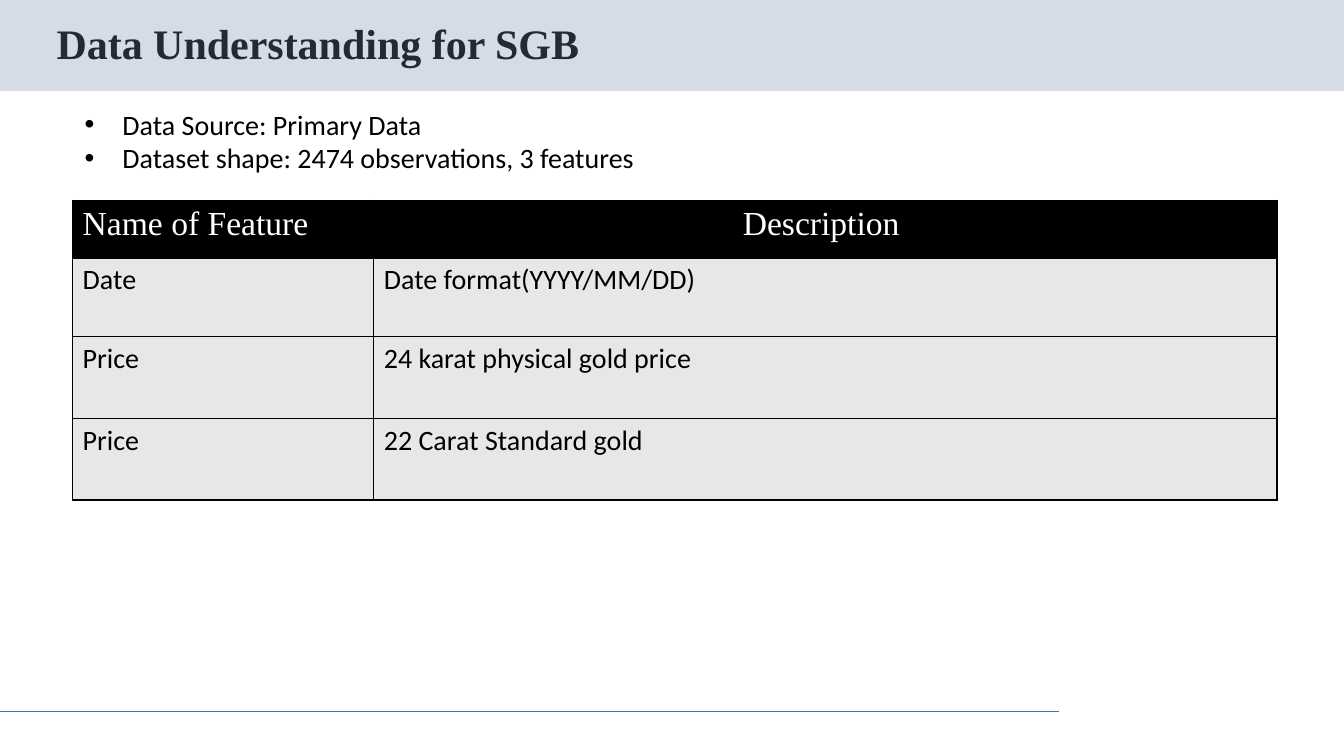
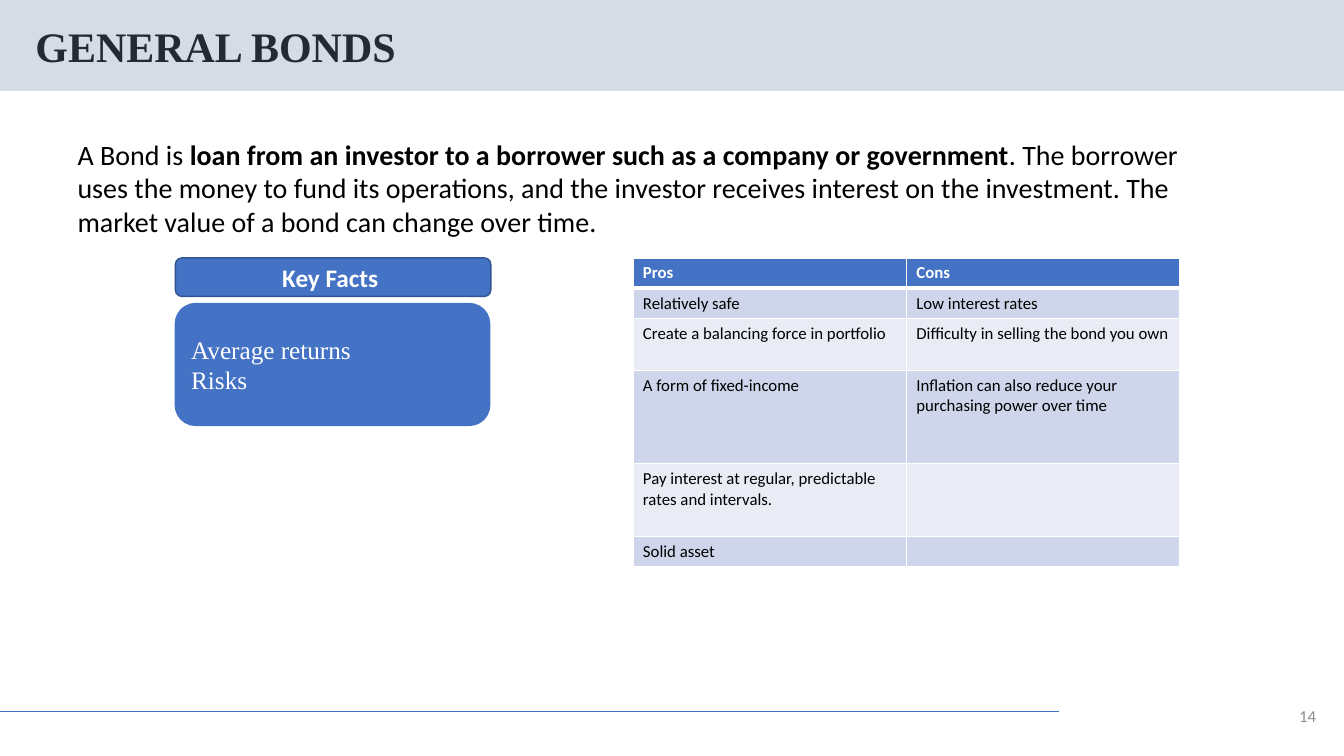
from lxml.etree import SubElement
from pptx import Presentation
from pptx.dml.color import RGBColor
from pptx.enum.shapes import MSO_CONNECTOR as Link, MSO_SHAPE as Kind
from pptx.enum.text import MSO_ANCHOR as Anchor, MSO_AUTO_SIZE as Fit, PP_ALIGN as Align
from pptx.oxml.ns import qn
from pptx.util import Cm, Pt

WHITE = RGBColor(0xFF, 0xFF, 0xFF)
BLACK = RGBColor(0, 0, 0)
BLUE = RGBColor(0x44, 0x72, 0xC4)
NAVY = RGBColor(0x32, 0x54, 0x91)
INK = RGBColor(0x22, 0x2A, 0x35)
MIST = RGBColor(0xD6, 0xDC, 0xE5)
GRAY = RGBColor(0x8C, 0x8C, 0x8C)
SILVER = RGBColor(0xE7, 0xE7, 0xE7)
DEEP = RGBColor(0xCF, 0xD5, 0xEA)
PALE = RGBColor(0xE9, 0xEB, 0xF5)
SANS, SERIF = "Calibri", "Times New Roman"


class Deck:
    """Holds the shared style and the slide being built."""

    def __init__(self):
        self.prs = Presentation()
        self.prs.slide_width, self.prs.slide_height = Cm(33.87), Cm(19.05)
        self.base = self.prs.slide_layouts[1]
        self.slide = None

    def label(self, frame, lines, size, color=BLACK, font=SANS, bold=False,
              align=Align.LEFT, anchor=Anchor.TOP):
        frame.text = "\n".join(lines)
        frame.word_wrap = True
        frame.vertical_anchor = anchor
        for para in frame.paragraphs:
            para.alignment = align
            para.space_before = Pt(0)
            for run in para.runs:
                self.style(run, size, color, font, bold)

    def style(self, run, size, color=BLACK, font=SANS, bold=False):
        run.font.size, run.font.name, run.font.bold = Pt(size), font, bold
        run.font.color.rgb = color

    def place(self, shape, box):
        shape.left, shape.top, shape.width, shape.height = map(Cm, box)

    def page(self, title, box):
        self.slide = self.prs.slides.add_slide(self.base)
        if len(self.prs.slides) == 1:
            self.frame()
        head = self.slide.shapes.title
        self.place(head, box)
        frame = head.text_frame
        self.label(frame, [title], 30, INK, SERIF, True, anchor=Anchor.MIDDLE)
        frame.auto_size = Fit.NONE
        frame.paragraphs[0].line_spacing = 0.9

    def frame(self):
        band = self.shape(Kind.RECTANGLE, (0, 0, 33.87, 2.29), MIST)
        rule = self.slide.shapes.add_connector(
            Link.STRAIGHT, Cm(0), Cm(17.93), Cm(26.7), Cm(17.93))
        rule.line.color.rgb, rule.line.width = BLUE, Pt(0.5)
        SubElement(rule.element.spPr, qn("a:effectLst"))
        tree = self.base.element.cSld.spTree
        for spot, item in enumerate((band, rule), 2):
            tree.insert(spot, item.element)

    def shape(self, kind, box, fill, line=None):
        item = self.slide.shapes.add_shape(kind, *map(Cm, box))
        item.shadow.inherit = False
        item.fill.solid()
        item.fill.fore_color.rgb = fill
        if line is None:
            item.line.fill.background()
        else:
            item.line.color.rgb, item.line.width = line, Pt(1)
        return item

    def card(self, box, lines, line=BLUE, **look):
        item = self.shape(Kind.ROUNDED_RECTANGLE, box, BLUE, line)
        self.label(item.text_frame, lines, 18, WHITE, anchor=Anchor.MIDDLE, **look)

    def body(self, box, lines, indent=0.0):
        item = self.slide.placeholders[1]
        self.place(item, box)
        frame = item.text_frame
        self.label(frame, lines, 20)
        frame.auto_size = Fit.NONE
        for para in frame.paragraphs:
            props = para._p.get_or_add_pPr()
            props.set("marL", str(Cm(indent)))
            props.set("indent", str(-Cm(indent)))
            if not indent:
                SubElement(props, qn("a:buNone"))
        return frame

    def number(self, text):
        item = self.slide.shapes.add_textbox(*map(Cm, (32.33, 17.63, 1.09, 0.81)))
        self.label(item.text_frame, [text], 12, GRAY,
                   align=Align.RIGHT, anchor=Anchor.MIDDLE)

    def border(self, cell, color, top=1, base=1):
        props = cell._tc.get_or_add_tcPr()
        for side, width in zip("LRTB", (1, 1, top, base)):
            line = SubElement(props, qn(f"a:ln{side}"), w=str(Pt(width)))
            fill = SubElement(line, qn("a:solidFill"))
            SubElement(fill, qn("a:srgbClr"), val=str(color))

    def table(self, left, top, cols, highs, rows, head, size, fills, edge, split=1):
        grid = self.slide.shapes.add_table(
            len(rows), len(cols), Cm(left), Cm(top),
            Cm(sum(cols)), Cm(sum(highs))).table
        for col, width in zip(grid.columns, cols):
            col.width = Cm(width)
        for r, row in enumerate(rows):
            grid.rows[r].height = Cm(highs[r])
            look = {"size": size, "bold": False} if r else head
            for c, text in enumerate(row):
                cell = grid.cell(r, c)
                self.border(cell, edge, split if r == 1 else 1, 1 if r else split)
                cell.fill.solid()
                cell.fill.fore_color.rgb = fills[0] if r == 0 else fills[1 + (r - 1) % 2]
                self.label(cell.text_frame, [text], **look)
                if not text:
                    SubElement(cell.text_frame.paragraphs[0]._p,
                               qn("a:endParaRPr"), sz=str(size * 100))
        return grid


def main():
    deck = Deck()

    deck.page("Data Understanding for SGB", (1.17, 0.46, 29.21, 1.4))
    deck.body((1.88, 2.57, 30.1, 1.96),
              ["Data Source: Primary Data",
               "Dataset shape: 2474 observations, 3 features"], 0.95)
    grid = deck.table(
        1.83, 5.05, (7.59, 22.76), (1.45, 1.98, 2.06, 2.06),
        [("Name of Feature", "Description "),
         ("Date", "Date format(YYYY/MM/DD)"),
         ("Price", "24 karat physical gold price"),
         ("Price", "22 Carat Standard gold")],
        {"size": 24, "color": WHITE, "font": SERIF}, 20,
        (BLACK, SILVER, SILVER), BLACK)
    grid.cell(0, 1).text_frame.paragraphs[0].alignment = Align.CENTER

    deck.page("GENERAL BONDS", (0.64, 0.53, 29.21, 1.42))
    frame = deck.body((1.7, 3.33, 29.31, 2.79), ["A Bond is "])
    for text, bold in (
            ("loan from an investor to a borrower such as a company or government", True),
            (". The borrower uses the money to fund its operations, and the investor "
             "receives interest on the investment. The market value of a bond can "
             "change over time.", False)):
        run = frame.paragraphs[0].add_run()
        run.text = text
        deck.style(run, 20, bold=bold)
    deck.number("14")
    deck.card((4.42, 7.65, 7.92, 3.07), ["Average returns", "Risks"], font=SERIF)
    deck.table(
        15.95, 6.5, (6.89, 6.89), (0.76, 0.76, 1.3, 2.36, 1.83, 0.76),
        [("Pros", "Cons"),
         ("Relatively safe", "Low interest rates"),
         ("Create a balancing force in portfolio",
          "Difficulty in selling the bond you own"),
         ("A form of fixed-income",
          "Inflation can also reduce your purchasing power over time"),
         ("Pay interest at regular, predictable rates and intervals.", ""),
         ("Solid asset", "")],
        {"size": 12, "color": WHITE, "bold": True}, 12,
        (BLUE, DEEP, PALE), WHITE, 3)
    deck.card((4.42, 6.5, 7.95, 0.97), ["Key Facts "], NAVY,
              bold=True, align=Align.CENTER)

    deck.prs.save("out.pptx")


if __name__ == "__main__":
    main()
